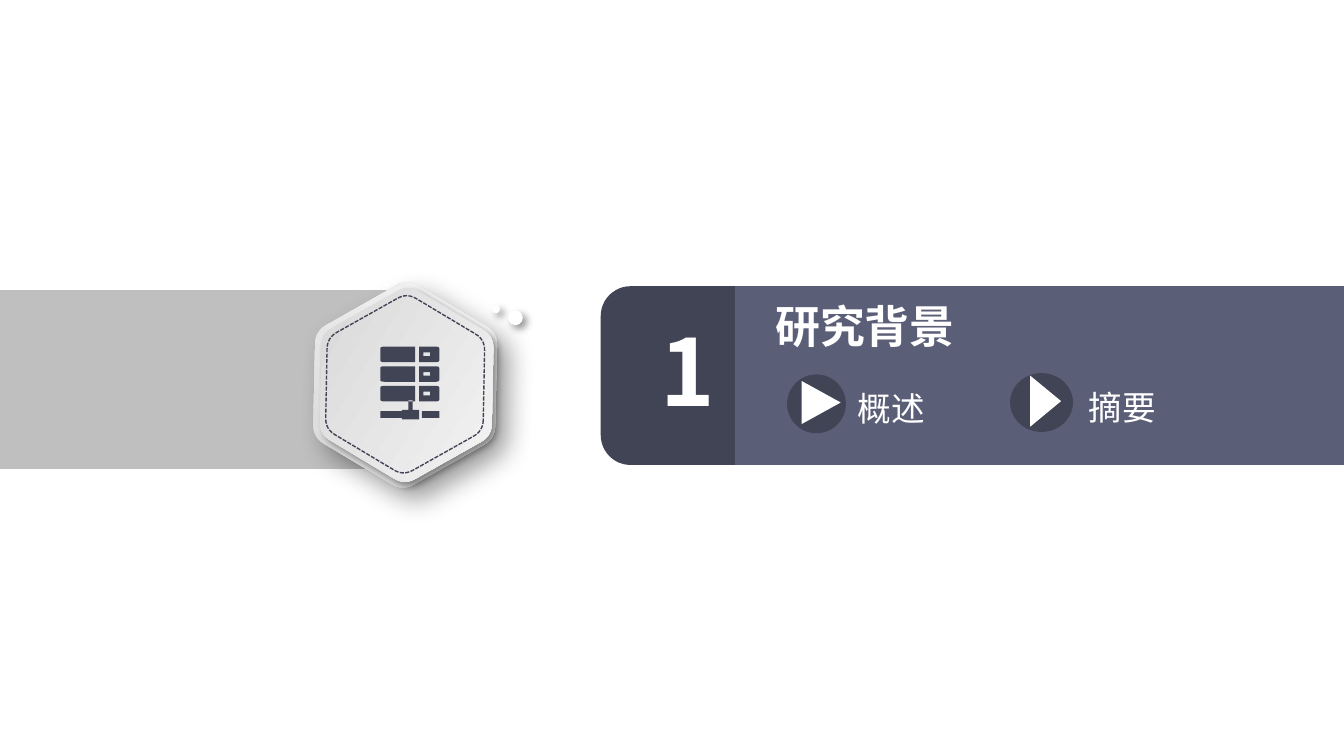
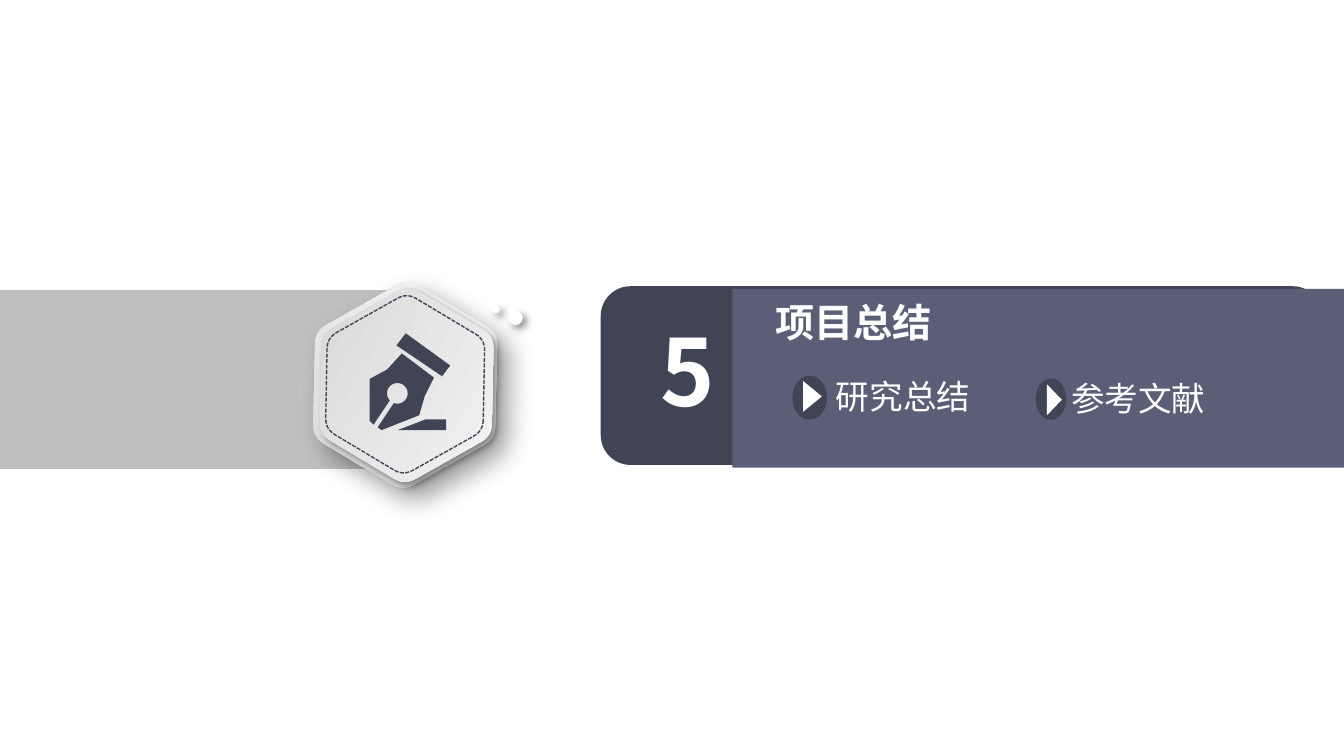
import math

import pptx
import pptx.dml.color
import pptx.enum.dml
import pptx.enum.shapes
import pptx.enum.text
import pptx.oxml
import pptx.oxml.ns
import pptx.util

SHAPE = pptx.enum.shapes.MSO_SHAPE
ALIGN = pptx.enum.text.PP_ALIGN
FONT = "Noto Sans CJK SC"
COLORS = {
    "dark": "414455",
    "slate": "5B5E77",
    "grey": "BFBFBF",
    "white": "FFFFFF",
    "rim_dark": "D3D3D3",
    "rim_light": "F9F9F9",
    "shadow": "000000",
}

# The slide is a grid of square cells, 100 columns wide
SLIDE_WIDTH = pptx.util.Inches(10)
SLIDE_HEIGHT = SLIDE_WIDTH * 9 // 16
CELL = SLIDE_WIDTH / 100

BADGE_TILT = 30.9
SOFT_SHADOW = {"blur": 4, "distance": 3}
DEEP_SHADOW = {"blur": 15, "distance": 9}


def cells(*counts):
    return [pptx.util.Emu(round(count * CELL)) for count in counts]


def color(name):
    return pptx.dml.color.RGBColor.from_string(COLORS[name])


# Formatting
def add_shadow(shape, blur, distance):
    effects = shape._element.spPr.find(pptx.oxml.ns.qn("a:effectLst"))
    effects.append(pptx.oxml.parse_xml(
        f'<a:outerShdw {pptx.oxml.ns.nsdecls("a")} blurRad="{pptx.util.Pt(blur)}" '
        f'dist="{pptx.util.Pt(distance)}" dir="2700000" algn="tl" rotWithShape="0">'
        f'<a:srgbClr val="{COLORS["shadow"]}"><a:alpha val="40000"/></a:srgbClr>'
        '</a:outerShdw>'))


def paint(shape, fill=None, gradient=None, line=None, weight=2, dash=None, shadow=None):
    """Fill with a colour name or, if given, a gradient angle."""
    shape.shadow.inherit = False
    if gradient is not None:
        shape.fill.gradient()
        shape.fill.gradient_angle = gradient
        for stop, name in zip(shape.fill.gradient_stops, ("rim_dark", "rim_light")):
            stop.color.rgb = color(name)
    elif fill:
        shape.fill.solid()
        shape.fill.fore_color.rgb = color(fill)
    else:
        shape.fill.background()
    if line:
        shape.line.color.rgb = color(line)
        shape.line.width = pptx.util.Pt(weight)
        if dash:
            shape.line.dash_style = dash
    else:
        shape.line.fill.background()
    if shadow:
        add_shadow(shape, **shadow)


def add_block(slide, kind, box, rotation=0, **look):
    block = slide.shapes.add_shape(kind, *cells(*box))
    block.rotation = rotation
    paint(block, **look)


def add_text(slide, text, box, size, bold=False, align=None, level=0, inset=(0, 0)):
    label = slide.shapes.add_textbox(*cells(*box))
    frame = label.text_frame
    frame.word_wrap = True
    frame.auto_size = pptx.enum.text.MSO_AUTO_SIZE.SHAPE_TO_FIT_TEXT
    frame.margin_left, frame.margin_top = frame.margin_right, frame.margin_bottom = cells(*inset)
    paragraph = frame.paragraphs[0]
    paragraph.level = level
    properties = paragraph._p.get_or_add_pPr()
    properties.set("marL", "0")
    properties.set("indent", "0")
    if align is not None:
        paragraph.alignment = align
    run = paragraph.add_run()
    run.text = text
    run.font.name = FONT
    run.font.size = pptx.util.Pt(size)
    run.font.bold = bold
    run.font.color.rgb = color("white")
    east_asian = pptx.oxml.parse_xml(
        f'<a:ea {pptx.oxml.ns.nsdecls("a")} typeface="{FONT}"/>')
    run.font._element.find(pptx.oxml.ns.qn("a:latin")).addnext(east_asian)


# Outlines
def add_outline(slide, contours, **look):
    first, *others = [[cells(*point) for point in contour] for contour in contours]
    builder = slide.shapes.build_freeform(*first[0])
    builder.add_line_segments(first[1:], close=True)
    for contour in others:
        builder.move_to(*contour[0])
        builder.add_line_segments(contour[1:], close=True)
    outline = builder.convert_to_shape()
    paint(outline, **look)
    return outline


def round_corners(corners, cuts, steps=6):
    """Replace each corner by a curve that starts the cut's share along each side."""
    curve = []
    for index, (corner, cut) in enumerate(zip(corners, cuts)):
        if not cut:
            curve.append(corner)
            continue
        before, after = corners[index - 1], corners[(index + 1) % len(corners)]
        start, end = [[c + (n - c) * cut for c, n in zip(corner, near)]
                      for near in (before, after)]
        for step in range(steps + 1):
            t = step / steps
            curve.append([(1 - t) ** 2 * s + 2 * t * (1 - t) * c + t ** 2 * e
                          for s, c, e in zip(start, corner, end)])
    return curve


def rectangle(left, top, right, bottom):
    return [(left, top), (right, top), (right, bottom), (left, bottom)]


def add_hexagon(slide, box, **look):
    left, top, width, height = box
    corners = [(left + width / 2 * (1 + math.cos(math.radians(angle))),
                top + height / 2 * (1 + math.sin(math.radians(angle))))
               for angle in range(0, 360, 60)]
    hexagon = add_outline(slide, [round_corners(corners, [0.12] * 6)], **look)
    hexagon.left, hexagon.top, hexagon.width, hexagon.height = cells(*box)
    hexagon.rotation = BADGE_TILT


# Badge icons
def server_icon():
    contours = []
    for row in range(3):
        top = 25.8 + 1.46 * row
        bottom = top + 1.15
        contours += [
            round_corners(rectangle(28.3, top, 30.9, bottom), [0.12, 0, 0, 0.12]),
            round_corners(rectangle(31.2, top, 32.7, bottom), [0, 0.16, 0.16, 0]),
            rectangle(31.5, top + 0.43, 32, top + 0.7),
        ]
    plug = [(29.9, 30.5), (30.4, 30.5), (30.4, 29.8), (30.7, 29.8), (30.7, 30.5),
            (31.2, 30.5), (31.2, 31.2), (29.9, 31.2)]
    return contours + [plug, rectangle(28.3, 30.6, 29.9, 31.1),
                       rectangle(31.4, 30.6, 32.7, 31.1)]


def pen_icon():
    eye = [(29.57 + 0.77 * math.cos(math.radians(angle)),
            29.27 + 0.77 * math.sin(math.radians(angle)))
           for angle in range(110, -224, -9)]
    nib = [(27.8, 31.6), (27.5, 31.3), (27.5, 28.2), (28.8, 27.5), (29.9, 26.3),
           (32.3, 28.1), (31.6, 29.5), (31.2, 30.9), (28.4, 32), (28.1, 31.8)]
    stroke = [(29.6, 32), (33.2, 32), (33.2, 31.2), (31.7, 31.2)]
    cap = [(32.9, 28), (33.5, 27.2), (30.2, 24.8), (29.5, 25.7)]
    return [nib + eye, stroke, cap]


# Parts of a section slide
def add_badge(slide, icon):
    add_block(slide, SHAPE.RECTANGLE, (0, 21.6, 30.5, 13.3), fill="grey")
    add_hexagon(slide, (22.6, 21.8, 15.1, 13.7), gradient=90, shadow=DEEP_SHADOW)
    add_hexagon(slide, (23.1, 22.2, 14.3, 12.9), gradient=0, shadow=SOFT_SHADOW)
    add_hexagon(slide, (23.6, 22.7, 13.1, 11.8), line="dark", weight=0.75,
                dash=pptx.enum.dml.MSO_LINE.SQUARE_DOT)
    for left, top, diameter in ((36.6, 22.7, 0.6), (37.8, 23.1, 1.1)):
        add_block(slide, SHAPE.OVAL, (left, top, diameter, diameter),
                  fill="white", shadow=SOFT_SHADOW)
    add_outline(slide, icon, fill="dark")


def add_banner(slide, number, title, title_size, panel_corner):
    add_block(slide, SHAPE.ROUNDED_RECTANGLE, (44.7, 21.3, 53.7, 13.3), fill="dark")
    add_block(slide, SHAPE.RECTANGLE, (*panel_corner, 45.5, 13.3), fill="slate")
    add_text(slide, number, (48.2, 22.9, 3, 9.3), 49.5, bold=True,
             align=ALIGN.CENTER, inset=(1, 0.5))
    add_text(slide, title, (57.1, 21.9, 22.4, title_size * 0.19), title_size,
             bold=True, level=1, inset=(0.6, 0.3))


def add_topic(slide, text, text_box, disc, arrow):
    add_text(slide, text, text_box, 18, level=1)
    add_block(slide, SHAPE.OVAL, disc, fill="dark", line="dark")
    add_block(slide, SHAPE.ISOSCELES_TRIANGLE, arrow, rotation=90, fill="white")


def main():
    deck = pptx.Presentation()
    deck.slide_width, deck.slide_height = SLIDE_WIDTH, SLIDE_HEIGHT

    # Each topic: text, text box, disc, arrow
    sections = [
        (server_icon(), ("1", "研究背景", 24, (54.7, 21.3)), [
            ("概述", (63.8, 28.9, 12.9, 3), (58.7, 28, 4.1, 4.1), (59.5, 28.5, 3.2, 2.9)),
            ("摘要", (81, 28.8, 16.9, 3), (75.3, 27.9, 4.4, 4.1), (75.9, 28.7, 3.8, 2.3)),
        ]),
        (pen_icon(), ("5", "项目总结", 21, (54.5, 21.5)), [
            ("研究总结", (62.2, 28, 14.5, 3), (59.1, 28.1, 2.3, 3), (59.3, 28.8, 2.3, 1.4)),
            ("参考文献", (79.7, 28.1, 14, 3), (77.2, 28.3, 2, 2.8), (77.3, 29.2, 2.3, 1.1)),
        ]),
    ]
    for icon, banner, topics in sections:
        slide = deck.slides.add_slide(deck.slide_layouts[6])
        add_badge(slide, icon)
        add_banner(slide, *banner)
        for topic in topics:
            add_topic(slide, *topic)

    deck.save("out.pptx")


if __name__ == "__main__":
    main()
